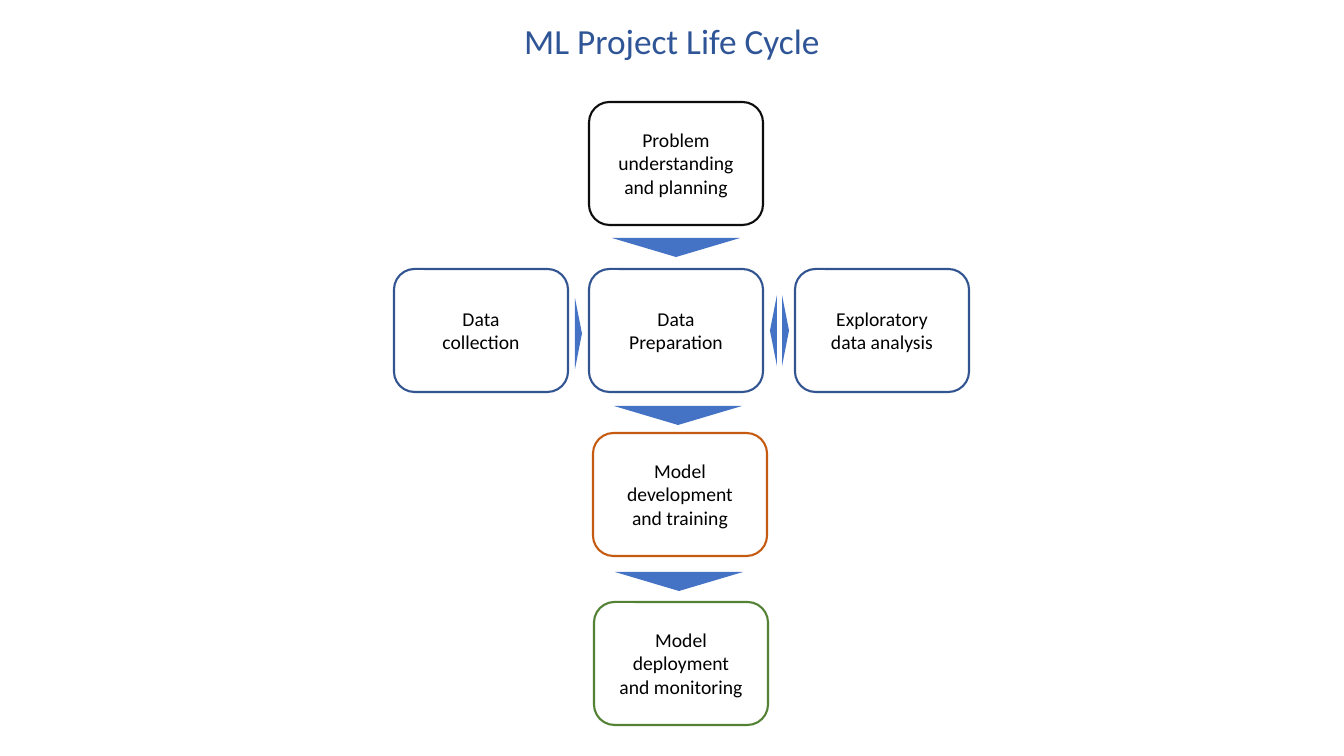
from dataclasses import dataclass

from pptx import Presentation
from pptx.dml.color import RGBColor
from pptx.enum.shapes import MSO_SHAPE
from pptx.enum.text import MSO_ANCHOR, MSO_AUTO_SIZE, PP_ALIGN
from pptx.util import Pt

ROUNDED = MSO_SHAPE.ROUNDED_RECTANGLE
TRIANGLE = MSO_SHAPE.ISOSCELES_TRIANGLE
CENTER = PP_ALIGN.CENTER
TOP = MSO_ANCHOR.TOP
BOTTOM = MSO_ANCHOR.BOTTOM
FIT_SHAPE = MSO_AUTO_SIZE.SHAPE_TO_FIT_TEXT
NO_FIT = MSO_AUTO_SIZE.NONE

EMU_PER_PX = 914400 / 100.8
FONT = "Calibri"
COLORS = {
    "title": "2F5597",
    "text": "000000",
    "planning": "0D0D0D",
    "data": "325491",
    "model": "C55A11",
    "deployment": "548235",
    "arrow": "4472C4",
}
STAGE_WIDTH, STAGE_HEIGHT = 174, 123
DATA_ROW = 269
DOWN, LEFT, RIGHT = 180, 270, 90


@dataclass
class Stage:
    text: str
    left: int
    top: int
    color: str
    lines: int = 3
    label_width: int = 136


@dataclass
class Arrow:
    left: int
    top: int
    rotation: int
    width: int = 71
    height: int = 7


STAGES = [
    Stage("Problem understanding and planning", 589, 102, "planning"),
    Stage("Data collection", 394, DATA_ROW, "data", lines=2),
    Stage("Data Preparation", 589, DATA_ROW, "data", lines=2),
    Stage("Exploratory data analysis", 795, DATA_ROW, "data", lines=2),
    Stage("Model development and training", 593, 433, "model"),
    Stage("Model deployment and monitoring", 594, 602, "deployment", label_width=144),
]
ARROWS = [
    Arrow(543, 330, RIGHT),
    Arrow(738, 327, LEFT),
    Arrow(750, 327, RIGHT),
    Arrow(612, 238, DOWN, 128, 19),
    Arrow(614, 406, DOWN, 128, 19),
    Arrow(615, 572, DOWN, 128, 19),
]


def px(length: float) -> int:
    return round(length * EMU_PER_PX)


def rgb(name: str) -> RGBColor:
    return RGBColor.from_string(COLORS[name])


def add_text(page, text: str, left: float, top: float, width: int, height: int,
             size: float, color: str, anchor=TOP, fit=FIT_SHAPE,
             spacing: float = 1.0) -> None:
    box = page.shapes.add_textbox(px(left), px(top), px(width), px(height))
    frame = box.text_frame
    frame.word_wrap = True
    frame.auto_size = fit
    frame.vertical_anchor = anchor
    para = frame.paragraphs[0]
    para.alignment = CENTER
    para.line_spacing = spacing
    span = para.add_run()
    span.text = text
    span.font.name = FONT
    span.font.size = Pt(size)
    span.font.color.rgb = rgb(color)


def draw_stage(page, stage: Stage) -> None:
    box = page.shapes.add_shape(ROUNDED, px(stage.left), px(stage.top),
                                px(STAGE_WIDTH), px(STAGE_HEIGHT))
    box.shadow.inherit = False
    box.fill.background()
    box.line.color.rgb = rgb(stage.color)
    box.line.width = Pt(1.5)
    height = 10 + 24 * stage.lines
    add_text(page, stage.text,
             stage.left + (STAGE_WIDTH - stage.label_width) / 2,
             stage.top + (STAGE_HEIGHT - height) / 2,
             stage.label_width, height, 14, "text")


def draw_arrow(page, arrow: Arrow) -> None:
    triangle = page.shapes.add_shape(TRIANGLE, px(arrow.left), px(arrow.top),
                                     px(arrow.width), px(arrow.height))
    triangle.rotation = arrow.rotation
    triangle.shadow.inherit = False
    triangle.fill.solid()
    triangle.fill.fore_color.rgb = rgb("arrow")
    triangle.line.fill.background()


def main() -> None:
    deck = Presentation()
    deck.slide_width, deck.slide_height = px(1344), px(756)
    page = deck.slides.add_slide(deck.slide_layouts[6])
    add_text(page, "ML Project Life Cycle", 168, 23, 1008, 44, 25.2, "title",
             BOTTOM, NO_FIT, 0.9)
    for stage in STAGES:
        draw_stage(page, stage)
    for arrow in ARROWS:
        draw_arrow(page, arrow)
    deck.save("out.pptx")


if __name__ == "__main__":
    main()
